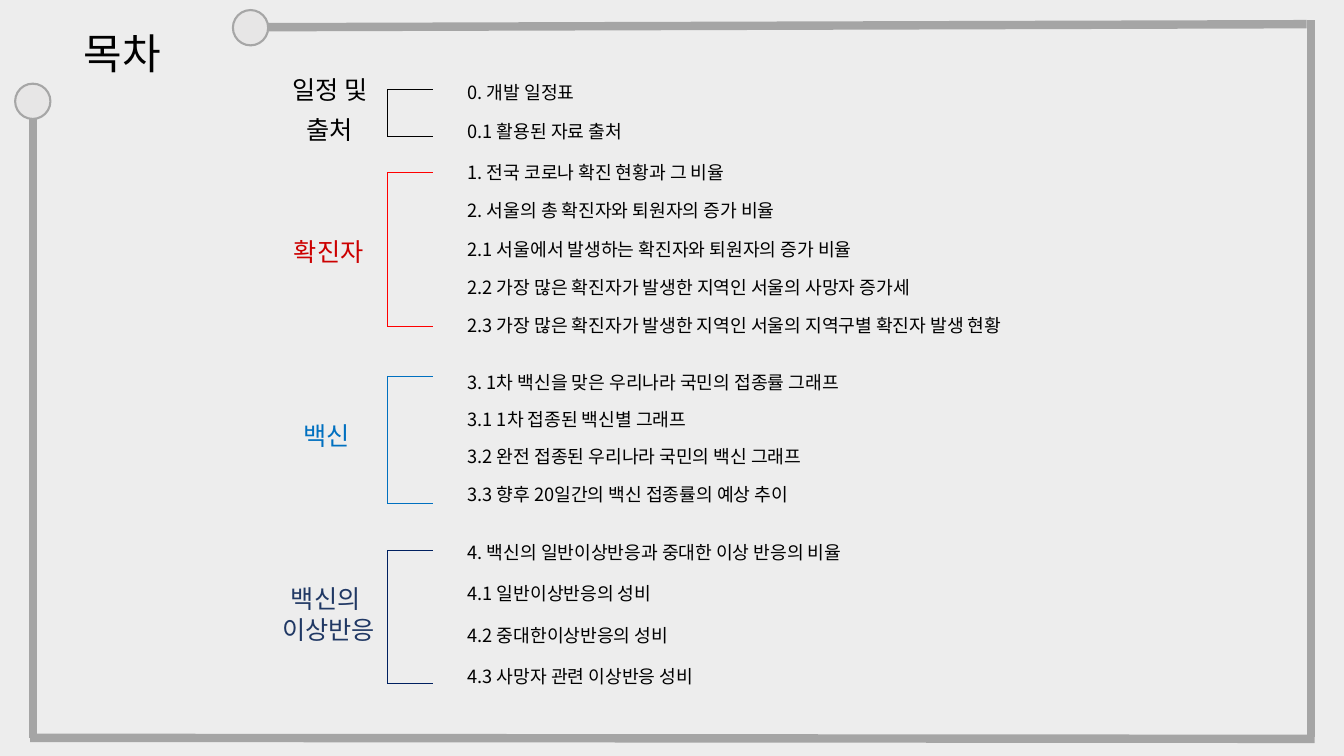
from lxml import etree
from pptx import Presentation
from pptx.dml.color import RGBColor
from pptx.enum.shapes import MSO_CONNECTOR, MSO_SHAPE
from pptx.enum.text import MSO_ANCHOR, MSO_AUTO_SIZE, PP_ALIGN
from pptx.oxml.ns import qn
from pptx.util import Inches, Pt

STRAIGHT, OVAL = MSO_CONNECTOR.STRAIGHT, MSO_SHAPE.OVAL
MIDDLE, FIXED = MSO_ANCHOR.MIDDLE, MSO_AUTO_SIZE.NONE
LEFT, CENTER = PP_ALIGN.LEFT, PP_ALIGN.CENTER

THEME = {
    "font": "Noto Sans CJK KR",
    "title_size": 30, "label_size": 18, "item_size": 13,
    "label_pitch": 22, "frame_width": 6, "ring_width": 1.5, "bracket_width": 0.5,
    "background": "EDEDED", "frame": "A5A5A5", "ring": "A6A6A6", "ring_fill": "E7E6E6",
    "text": "000000",
}

BRACKET_LEFT, BRACKET_RIGHT = 3.84, 4.29
ITEM_LEFT, ITEM_HEIGHT = 4.54, 0.32
LABEL_WIDTH = 1.39

# labels: (lines, top, height); items: (text, box width)
SECTIONS = [
    {"labels": [(["일정 및"], 0.68, 0.4), (["출처"], 1.08, 0.4)], "center": 3.27,
     "label_color": "000000", "bracket_color": "000000", "bracket": (0.89, 1.35),
     "top": 0.75, "step": 0.39,
     "items": [("0. 개발 일정표", 1.38), ("0.1 활용된 자료 출처", 1.91)]},
    {"labels": [(["확진자"], 2.29, 0.4)], "center": 3.26,
     "label_color": "CC0000", "bracket_color": "FF0000", "bracket": (1.71, 3.24),
     "top": 1.55, "step": 0.38,
     "items": [("1. 전국 코로나 확진 현황과 그 비율", 3.1),
               ("2. 서울의 총 확진자와 퇴원자의 증가 비율", 4.24),
               ("2.1 서울에서 발생하는 확진자와 퇴원자의 증가 비율", 4.54),
               ("2.2 가장 많은 확진자가 발생한 지역인 서울의 사망자 증가세", 5.15),
               ("2.3 가장 많은 확진자가 발생한 지역인 서울의 지역구별 확진자 발생 현황", 6.26)]},
    {"labels": [(["백신"], 4.12, 0.4)], "center": 3.24,
     "label_color": "0070C0", "bracket_color": "0070C0", "bracket": (3.73, 4.99),
     "top": 3.63, "step": 0.37,
     "items": [("3. 1차 백신을 맞은 우리나라 국민의 접종률 그래프", 4.46),
               ("3.1 1차 접종된 백신별 그래프", 4.79),
               ("3.2 완전 접종된 우리나라 국민의 백신 그래프", 3.93),
               ("3.3 향후 20일간의 백신 접종률의 예상 추이", 3.83)]},
    {"labels": [(["백신의", " 이상반응"], 5.73, 0.71)], "center": 3.23,
     "label_color": "203864", "bracket_color": "002060", "bracket": (5.46, 6.78),
     "top": 5.32, "step": 0.41,
     "items": [("4. 백신의 일반이상반응과 중대한 이상 반응의 비율", 4.54),
               ("4.1 일반이상반응의 성비", 2.21),
               ("4.2 중대한이상반응의 성비", 2.4),
               ("4.3 사망자 관련 이상반응 성비", 2.71)]},
]


def add_line(start, end, color, width):
    line = page.shapes.add_connector(STRAIGHT, *(Inches(v) for v in (*start, *end)))
    line.line.color.rgb = RGBColor.from_string(color)
    line.line.width = Pt(width)
    etree.SubElement(line.element.spPr, qn("a:effectLst"))


def write_text(box, lines, size, color, align, pitch=None):
    """Fill a box with one paragraph per line; pitch fixes the line height in points."""
    frame = box.text_frame
    for name, value in {"word_wrap": True, "auto_size": FIXED, "vertical_anchor": MIDDLE}.items():
        setattr(frame, name, value)
    frame.text = "\n".join(lines)
    for para in frame.paragraphs:
        para.alignment = align
        if pitch:
            para.line_spacing = Pt(pitch)
        for span in para.runs:
            span.font.name = THEME["font"]
            span.font.size = Pt(size)
            span.font.color.rgb = RGBColor.from_string(color)
            east_asian = etree.Element(qn("a:ea"), typeface=THEME["font"])
            span.font._element.find(qn("a:latin")).addnext(east_asian)


deck = Presentation()
deck.slide_width, deck.slide_height = Inches(13.33), Inches(7.5)
page = deck.slides.add_slide(deck.slide_layouts[5])
page.background.fill.solid()
page.background.fill.fore_color.rgb = RGBColor.from_string(THEME["background"])

title = page.shapes.title
title.left, title.top, title.width, title.height = (Inches(v) for v in (0.73, 0.22, 1.04, 0.61))
write_text(title, ["목차"], THEME["title_size"], THEME["text"], LEFT)

# Open frame around the page, with a ring at each loose end
for start, end in [((0.33, 1.01), (0.33, 7.32)), ((2.66, 0.27), (12.96, 0.24)),
                   ((13.04, 7.33), (0.3, 7.32)), ((13, 7.31), (13, 0.2))]:
    add_line(start, end, THEME["frame"], THEME["frame_width"])

for left, top in [(0.15, 0.83), (2.31, 0.1)]:
    ring = page.shapes.add_shape(OVAL, Inches(left), Inches(top), Inches(0.35), Inches(0.35))
    ring.shadow.inherit = False
    ring.fill.solid()
    ring.fill.fore_color.rgb = RGBColor.from_string(THEME["ring_fill"])
    ring.line.color.rgb = RGBColor.from_string(THEME["ring"])
    ring.line.width = Pt(THEME["ring_width"])

# Contents: a label, a bracket and evenly spaced items for each section
for section in SECTIONS:
    upper, lower = section["bracket"]
    corners = [(BRACKET_RIGHT, upper), (BRACKET_LEFT, upper),
               (BRACKET_LEFT, lower), (BRACKET_RIGHT, lower)]
    for start, end in zip(corners, corners[1:]):
        add_line(start, end, section["bracket_color"], THEME["bracket_width"])

    for lines, top, height in section["labels"]:
        label = page.shapes.add_textbox(Inches(section["center"] - LABEL_WIDTH / 2), Inches(top),
                                        Inches(LABEL_WIDTH), Inches(height))
        write_text(label, lines, THEME["label_size"], section["label_color"], CENTER,
                   THEME["label_pitch"])

    for row, (text, width) in enumerate(section["items"]):
        item = page.shapes.add_textbox(Inches(ITEM_LEFT), Inches(section["top"] + row * section["step"]),
                                       Inches(width), Inches(ITEM_HEIGHT))
        write_text(item, [text], THEME["item_size"], THEME["text"], LEFT)

deck.save("out.pptx")
